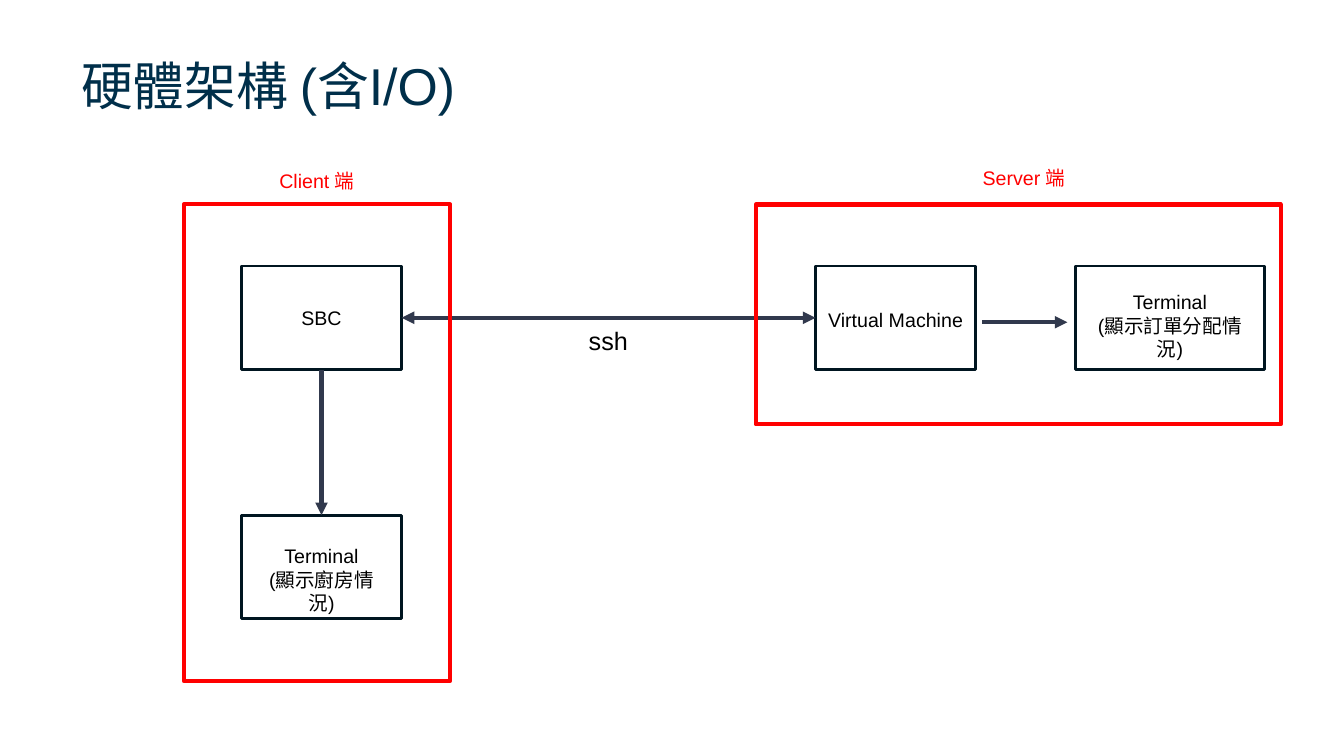
from lxml import etree
from pptx import Presentation
from pptx.dml.color import RGBColor
from pptx.enum.shapes import MSO_CONNECTOR, MSO_SHAPE
from pptx.enum.text import MSO_ANCHOR, PP_ALIGN
from pptx.oxml.ns import qn
from pptx.util import Pt

RECTANGLE = MSO_SHAPE.RECTANGLE
STRAIGHT = MSO_CONNECTOR.STRAIGHT
LEFT, CENTER = PP_ALIGN.LEFT, PP_ALIGN.CENTER
TOP, MIDDLE = MSO_ANCHOR.TOP, MSO_ANCHOR.MIDDLE
TOP_SIDE, LEFT_SIDE, BOTTOM_SIDE, RIGHT_SIDE = range(4)

FONT = "Arial"
WHITE, BLACK, RED = "FFFFFF", "000000", "FF0000"
TITLE_COLOR, BOX_LINE, ARROW_COLOR = "002F4A", "001520", "31394D"
BOX_WIDTH, BOX_HEIGHT = 114.5, 74
CLIENT_LEFT, SERVER_LEFT = 172.4, 582.5
ROW_TOP = 190


def color(value):
    return RGBColor.from_string(value)


def write(text_frame, text, size, text_color, alignment=CENTER, anchor=TOP):
    text_frame.word_wrap = True
    text_frame.vertical_anchor = anchor
    text_frame.text = text
    for paragraph in text_frame.paragraphs:
        paragraph.alignment = alignment
        for run in paragraph.runs:
            run.font.name = FONT
            run.font.size = Pt(size)
            run.font.color.rgb = color(text_color)


def add_label(slide, text, left, top, width, height, size=14,
              text_color=RED, alignment=CENTER):
    shape = slide.shapes.add_textbox(Pt(left), Pt(top), Pt(width), Pt(height))
    write(shape.text_frame, text, size, text_color, alignment)


def add_rectangle(slide, left, top, width, height, line_color, line_width):
    shape = slide.shapes.add_shape(
        RECTANGLE, Pt(left), Pt(top), Pt(width), Pt(height))
    shape.shadow.inherit = False
    shape.line.color.rgb = color(line_color)
    shape.line.width = Pt(line_width)
    return shape


def add_box(slide, text, left, top, width=BOX_WIDTH, text_drop=0, side_inset=7.2):
    """Add a device box; text_drop is a top inset that lowers its text."""
    shape = add_rectangle(slide, left, top, width, BOX_HEIGHT, BOX_LINE, 2)
    shape.fill.solid()
    shape.fill.fore_color.rgb = color(WHITE)
    text_frame = shape.text_frame
    text_frame.margin_top = Pt(text_drop)
    text_frame.margin_bottom = 0
    text_frame.margin_left = text_frame.margin_right = Pt(side_inset)
    write(text_frame, text, 14, BLACK, anchor=MIDDLE)
    return shape


def add_frame(slide, left, top, width, height):
    add_rectangle(slide, left, top, width, height, RED, 3).fill.background()


def add_arrow(slide, start=(0, 0), end=(0, 0), both_ends=False):
    connector = slide.shapes.add_connector(
        STRAIGHT, *(Pt(value) for value in (*start, *end)))
    connector.line.color.rgb = color(ARROW_COLOR)
    connector.line.width = Pt(3)
    line = connector.line._get_or_add_ln()
    for name in ("a:headEnd", "a:tailEnd") if both_ends else ("a:tailEnd",):
        etree.SubElement(line, qn(name), type="triangle")
    etree.SubElement(connector._element.spPr, qn("a:effectLst"))
    return connector


def join(slide, source, source_side, target, target_side, both_ends=False):
    connector = add_arrow(slide, both_ends=both_ends)
    connector.begin_connect(source, source_side)
    connector.end_connect(target, target_side)


def main():
    presentation = Presentation()
    presentation.slide_width = Pt(960)
    presentation.slide_height = Pt(540)
    slide = presentation.slides.add_slide(presentation.slide_layouts[6])

    add_label(slide, "硬體架構 (含I/O)", 51, 35, 741, 110, 37, TITLE_COLOR, LEFT)

    board = add_box(slide, "SBC", CLIENT_LEFT, ROW_TOP)
    machine = add_box(slide, "Virtual Machine", SERVER_LEFT, ROW_TOP, text_drop=3)
    kitchen = add_box(slide, "Terminal\n(顯示廚房情況)", CLIENT_LEFT, 368,
                      text_drop=18, side_inset=12)
    add_box(slide, "Terminal\n(顯示訂單分配情況)", 768, ROW_TOP, 135.5, text_drop=11)

    join(slide, board, BOTTOM_SIDE, kitchen, TOP_SIDE)
    join(slide, board, RIGHT_SIDE, machine, LEFT_SIDE, both_ends=True)
    add_arrow(slide, (701.5, 230.2), (762.5, 230.2))
    add_label(slide, "ssh", 398, 229, 73, 29, 18, BLACK)

    add_frame(slide, 131.4, 146, 190, 340.5)
    add_label(slide, "Client 端", 144.4, 117, 164, 24.5)
    add_frame(slide, 539.8, 146, 375, 157)
    add_label(slide, "Server 端", 649.5, 115, 164, 24.5)

    presentation.save("out.pptx")


if __name__ == "__main__":
    main()
